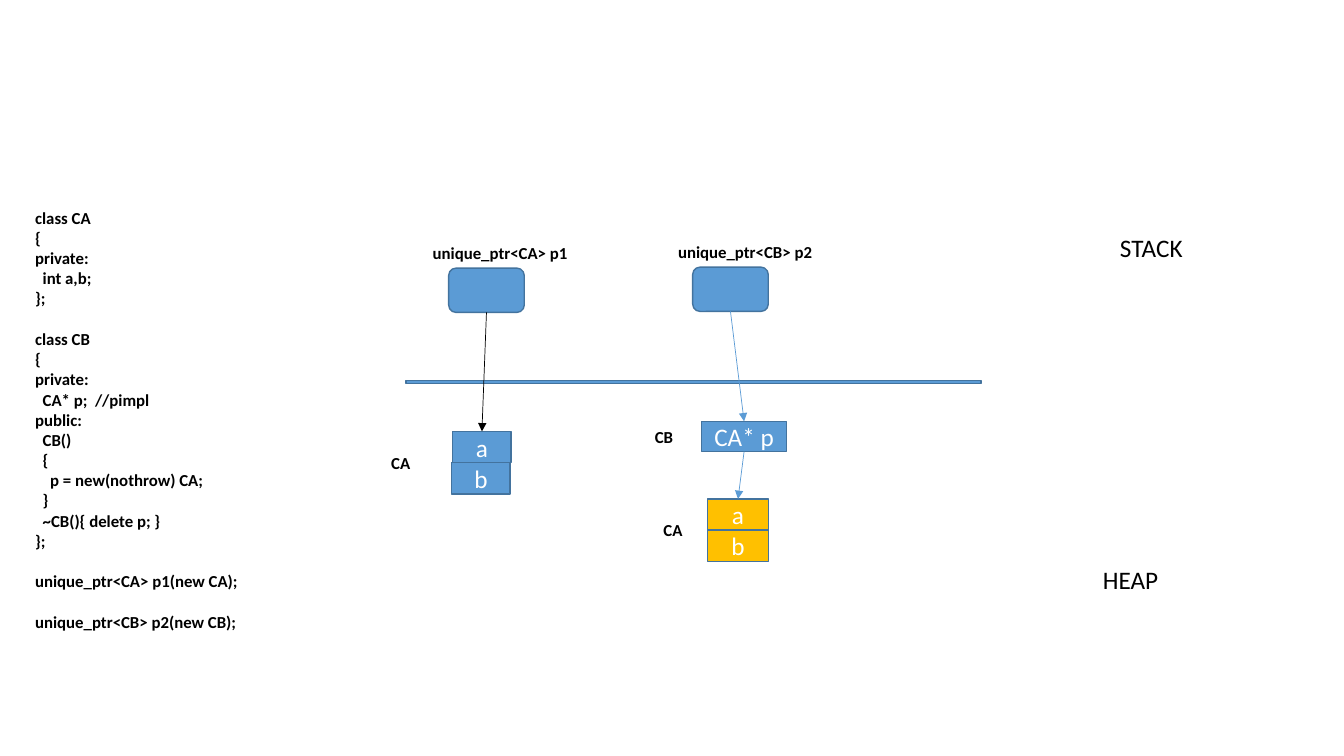
from dataclasses import dataclass

import pptx
import pptx.dml.color
import pptx.enum.shapes
import pptx.enum.text
import pptx.oxml
import pptx.oxml.ns
import pptx.util

PX = 9144
FONT = "Calibri"
LINE_PT = 14.65
COLORS = {
    "blue": "5B9BD5",
    "outline": "43739E",
    "gold": "FFC000",
    "black": "000000",
    "white": "FFFFFF",
}
SHAPE = pptx.enum.shapes.MSO_SHAPE
ALIGN = pptx.enum.text.PP_ALIGN
TOP, BOTTOM = 0, 2


@dataclass
class Label:
    text: str
    x: int
    y: int
    w: int
    h: int = 30
    size: int = 12
    bold: bool = True
    align: ALIGN = ALIGN.CENTER


@dataclass
class Box:
    name: str
    text: str
    x: int
    y: int
    w: int
    h: int
    fill: str = "blue"
    kind: SHAPE = SHAPE.RECTANGLE


@dataclass
class Arrow:
    start: str
    end: str
    color: str


CODE_BLOCKS = [
    """class CA
{
private:
  int a,b;
};""",
    """class CB
{
private:
  CA* p;  //pimpl
public:
  CB()
  {
    p = new(nothrow) CA;
  }
  ~CB(){ delete p; }
};""",
    "unique_ptr<CA> p1(new CA);",
    "unique_ptr<CB> p2(new CB);",
]

LABELS = [
    Label("STACK", 1101, 226, 112, 40, 18, False, ALIGN.LEFT),
    Label("HEAP", 1084, 555, 112, 40, 18, False, ALIGN.LEFT),
    Label("unique_ptr<CA> p1", 410, 236, 172),
    Label("unique_ptr<CB> p2", 653, 235, 172),
    Label("CA", 369, 444, 57),
    Label("CB", 630, 418, 57),
    Label("CA", 639, 511, 57),
]

BOXES = [
    Box("divider", "", 300, 372, 776, 14, kind=SHAPE.MATH_MINUS),
    Box("p1", "", 445, 266, 75, 44, kind=SHAPE.ROUNDED_RECTANGLE),
    Box("p1_a", "a", 449, 428, 58, 31),
    Box("p1_b", "b", 448, 459, 58, 31),
    Box("p2", "", 687, 265, 75, 44, kind=SHAPE.ROUNDED_RECTANGLE),
    Box("p2_cb", "CA* p", 696, 418, 84, 30),
    Box("p2_a", "a", 702, 495, 60, 31, "gold"),
    Box("p2_b", "b", 702, 526, 60, 31, "gold"),
]

ARROWS = [
    Arrow("p1", "p1_a", "black"),
    Arrow("p2", "p2_cb", "blue"),
    Arrow("p2_cb", "p2_a", "blue"),
]


def px(n: int) -> pptx.util.Emu:
    return pptx.util.Emu(n * PX)


def rgb(name: str) -> pptx.dml.color.RGBColor:
    return pptx.dml.color.RGBColor.from_string(COLORS[name])


def style_text(tf, size: int, color: str, bold: bool, align: ALIGN) -> None:
    for p in tf.paragraphs:
        p.alignment = align
        for r in p.runs:
            r.font.name = FONT
            r.font.size = pptx.util.Pt(size)
            r.font.bold = bold
            r.font.color.rgb = rgb(color)


def add_label(slide, label: Label):
    sp = slide.shapes.add_textbox(px(label.x), px(label.y), px(label.w), px(label.h))
    tf = sp.text_frame
    tf.word_wrap = True
    tf.auto_size = pptx.enum.text.MSO_AUTO_SIZE.SHAPE_TO_FIT_TEXT
    tf.text = label.text
    style_text(tf, label.size, "black", label.bold, label.align)
    return sp


def add_code(slide, blocks: list[str]) -> None:
    listing = Label("\n".join(blocks), 25, 201, 306, 434, align=ALIGN.LEFT)
    paragraphs = add_label(slide, listing).text_frame.paragraphs
    first = 0
    for block in blocks[:-1]:
        first += len(block.splitlines())
        paragraphs[first].space_before = pptx.util.Pt(LINE_PT)


def add_box(slide, box: Box):
    sp = slide.shapes.add_shape(box.kind, px(box.x), px(box.y), px(box.w), px(box.h))
    sp.shadow.inherit = False
    sp.fill.solid()
    sp.fill.fore_color.rgb = rgb(box.fill)
    sp.line.color.rgb = rgb("outline")
    sp.line.width = pptx.util.Pt(1)
    if box.text:
        tf = sp.text_frame
        tf.text = box.text
        tf.vertical_anchor = pptx.enum.text.MSO_ANCHOR.MIDDLE
        style_text(tf, 18, "white", False, ALIGN.CENTER)
    return sp


def add_arrow(slide, arrow: Arrow, shapes: dict) -> None:
    cxn = slide.shapes.add_connector(pptx.enum.shapes.MSO_CONNECTOR.STRAIGHT, 0, 0, 0, 0)
    cxn.begin_connect(shapes[arrow.start], BOTTOM)
    cxn.end_connect(shapes[arrow.end], TOP)
    cxn.line.color.rgb = rgb(arrow.color)
    cxn.line.width = pptx.util.Pt(0.5)
    ns = pptx.oxml.ns.nsdecls("a")
    ln = cxn.line._get_or_add_ln()
    ln.append(pptx.oxml.parse_xml(f'<a:tailEnd {ns} type="triangle"/>'))
    ln.addnext(pptx.oxml.parse_xml(f"<a:effectLst {ns}/>"))


def main() -> None:
    prs = pptx.Presentation()
    prs.slide_width = px(1333)
    prs.slide_height = px(750)
    slide = prs.slides.add_slide(prs.slide_layouts.get_by_name("Blank"))
    add_code(slide, CODE_BLOCKS)
    shapes = {box.name: add_box(slide, box) for box in BOXES}
    for label in LABELS:
        add_label(slide, label)
    for arrow in ARROWS:
        add_arrow(slide, arrow, shapes)
    prs.save("out.pptx")


if __name__ == "__main__":
    main()
